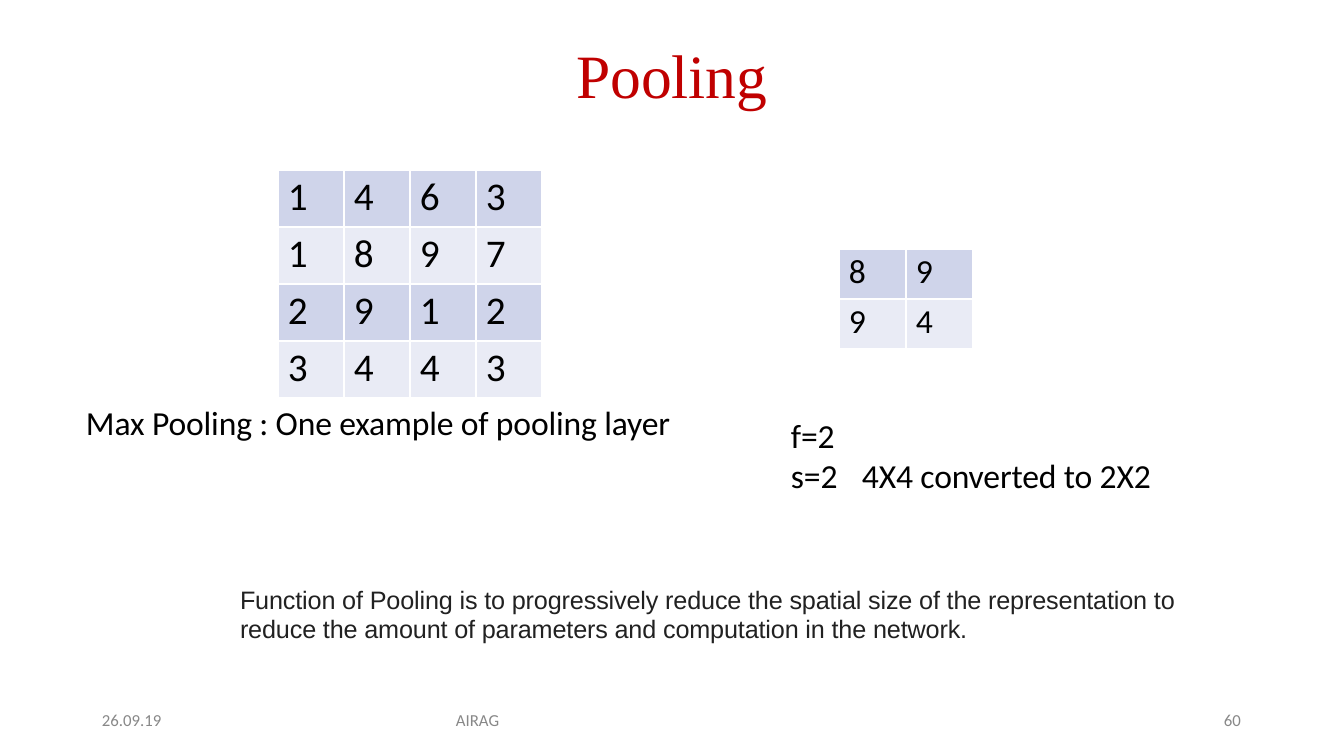
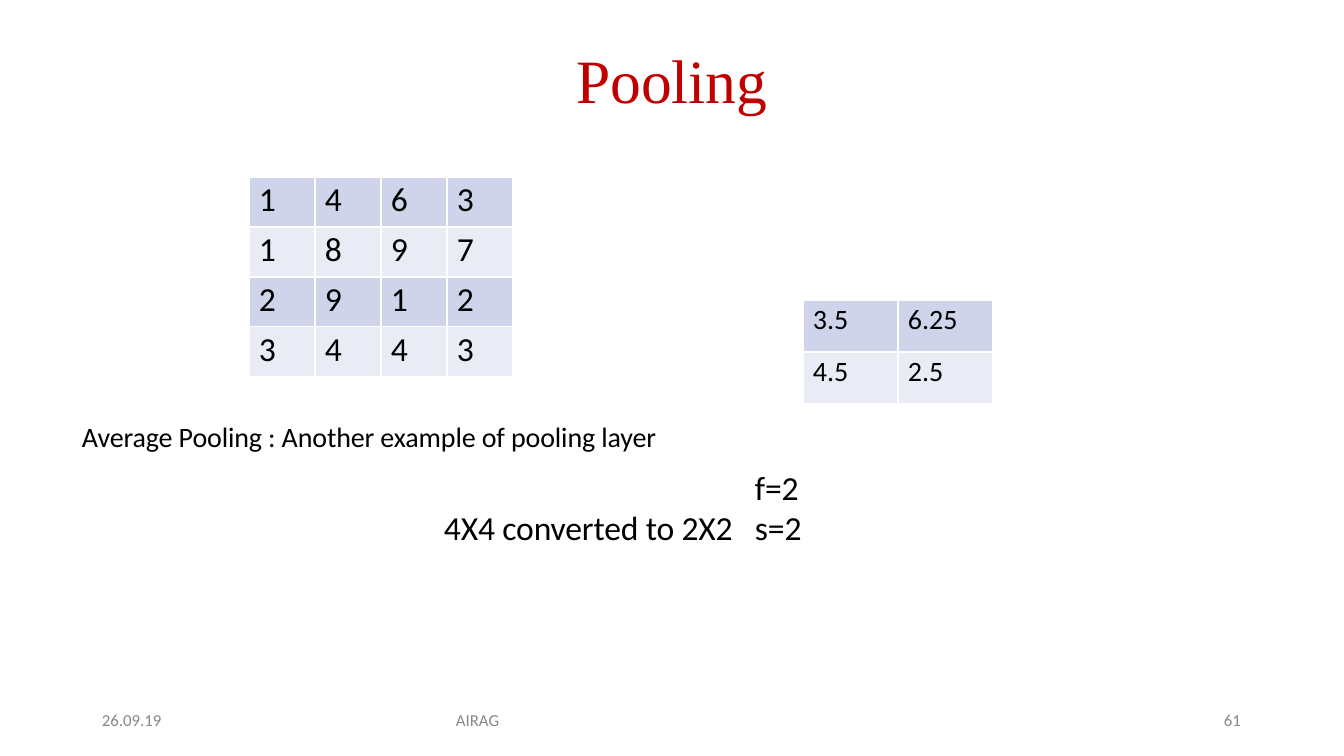
from pptx import Presentation
from pptx.dml.color import RGBColor
from pptx.enum.text import PP_ALIGN
from pptx.oxml.ns import qn
from pptx.util import Emu, Pt
from lxml.etree import SubElement

PX = 914400 / 100.8
COLORS = {
    "title": "C00000",
    "text": "000000",
    "note": "212121",
    "footer": "888888",
    "band1": "CFD4EA",
    "band2": "E9EBF5",
    "border": "FFFFFF",
}


def write(tf, text, size=24, color="text", font="Calibri", align=PP_ALIGN.LEFT,
          line=None, tab=None, spacing=0):
    """Fill a text frame, one paragraph per line of text."""
    for i, words in enumerate(text.split("\n")):
        p = tf.paragraphs[0] if i == 0 else tf.add_paragraph()
        p.alignment = align
        if line:
            p.line_spacing = Pt(line)
        if tab:
            tabs = SubElement(p._p.get_or_add_pPr(), qn("a:tabLst"))
            SubElement(tabs, qn("a:tab"), pos=str(round(tab * PX)), algn="l")
        r = p.add_run()
        r.text = words
        r.font.size = Pt(size)
        r.font.name = font
        r.font.color.rgb = RGBColor.from_string(COLORS[color])
        if spacing:
            r._r.get_or_add_rPr().set("spc", str(spacing))


def add_grid(s, x, y, col, row, size, values):
    """Add a banded table with equal columns and rows."""
    n_rows, n_cols = len(values), len(values[0])
    box = [Emu(round(v * PX)) for v in (x, y, col * n_cols, row * n_rows)]
    table = s.shapes.add_table(n_rows, n_cols, *box).table
    table.first_row = False
    table.horz_banding = False
    for i, numbers in enumerate(values):
        table.rows[i].height = Emu(round(row * PX))
        for j, number in enumerate(numbers):
            table.columns[j].width = Emu(round(col * PX))
            cell = table.cell(i, j)
            cell.margin_left = Emu(round(10 * PX))
            cell.margin_top = Emu(round(3 * PX))
            cell.margin_right = cell.margin_bottom = 0
            write(cell.text_frame, str(number), size=size)
            # Borders come before the fill in the cell properties
            tcPr = cell._tc.get_or_add_tcPr()
            for side in ("a:lnL", "a:lnR", "a:lnT", "a:lnB"):
                ln = SubElement(tcPr, qn(side), w=str(Pt(1)))
                fill = SubElement(ln, qn("a:solidFill"))
                SubElement(fill, qn("a:srgbClr"), val=COLORS["border"])
            cell.fill.solid()
            band = "band2" if i % 2 else "band1"
            cell.fill.fore_color.rgb = RGBColor.from_string(COLORS[band])


# Shared styles
TITLE = dict(size=44, color="title", font="Times New Roman", align=PP_ALIGN.CENTER)
NOTE = dict(size=18, color="note", font="Arial", line=21.1, spacing=-10)
FOOTER = dict(size=12, color="footer", line=12.4)

# Content: grids are x, y, column, row, size, values; texts are x, y, w, h, text, format
INPUT = [[1, 4, 6, 3], [1, 8, 9, 7], [2, 9, 1, 2], [3, 4, 4, 3]]
SLIDES = [
    dict(
        number=60,
        title_top=37,
        grids=[
            (278, 170, 66, 57, 28, INPUT),
            (839, 249, 67, 50, 24, [[8, 9], [9, 4]]),
        ],
        texts=[
            (86, 402, 600, 42, "Max Pooling : One example of pooling layer",
             dict(spacing=-10)),
            (791, 415, 380, 83, "f=2\ns=2\t4X4 converted to 2X2",
             dict(tab=71, spacing=-10)),
            (240, 585, 962, 60,
             "Function of Pooling is to progressively reduce the spatial size of the "
             "representation to reduce the amount of parameters and computation in "
             "the network.", NOTE),
        ],
    ),
    dict(
        number=61,
        title_top=42,
        grids=[
            (249, 177, 66, 50, 24, INPUT),
            (803, 300, 95, 52, 20, [[3.5, 6.25], [4.5, 2.5]]),
        ],
        texts=[
            (82, 420, 600, 35, "Average Pooling : Another example of pooling layer",
             dict(size=20, spacing=-10)),
            (444, 467, 372, 82, "\tf=2\n4X4 converted to 2X2\ts=2",
             dict(tab=311, spacing=-10)),
        ],
    ),
]

prs = Presentation()
prs.slide_width = Emu(round(1344 * PX))
prs.slide_height = Emu(round(756 * PX))

for page in SLIDES:
    s = prs.slides.add_slide(prs.slide_layouts[6])

    # Tables
    for grid in page["grids"]:
        add_grid(s, *grid)

    # Title, body text and footer
    texts = [(570, page["title_top"], 204, 76, "Pooling", TITLE)]
    texts += page["texts"]
    texts += [
        (456, 713, 433, 19, "AIRAG", FOOTER),
        (102, 713, 76, 19, "26.09.19", FOOTER),
        (1224, 713, 24, 19, str(page["number"]), FOOTER),
    ]
    for x, y, w, h, text, style in texts:
        sp = s.shapes.add_textbox(*[Emu(round(v * PX)) for v in (x, y, w, h)])
        tf = sp.text_frame
        tf.word_wrap = True
        tf.margin_left = tf.margin_top = tf.margin_right = tf.margin_bottom = 0
        write(tf, text, **style)

prs.save("out.pptx")
